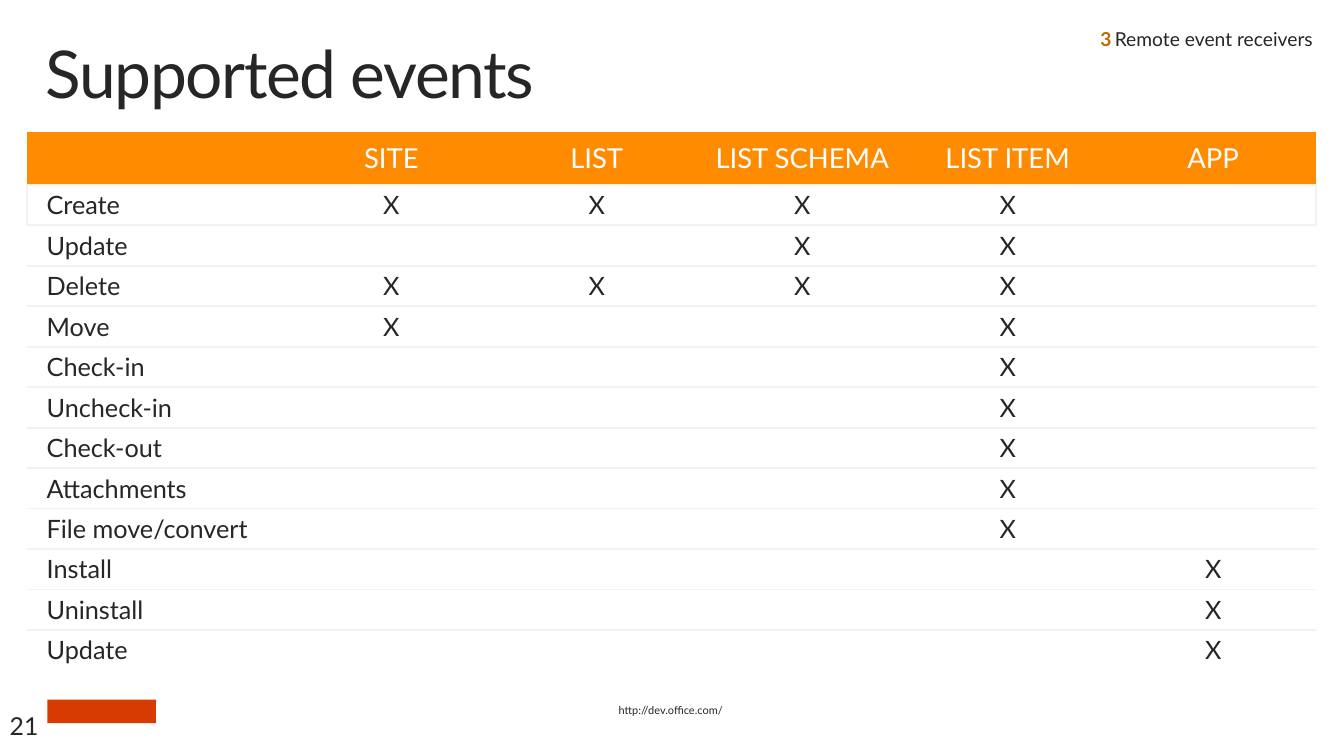
"""Build the slide listing the events that remote event receivers support."""
from dataclasses import dataclass

from lxml.etree import SubElement
from pptx import Presentation
from pptx.dml.color import RGBColor
from pptx.enum.shapes import MSO_SHAPE
from pptx.enum.text import MSO_ANCHOR, PP_ALIGN
from pptx.oxml.ns import qn
from pptx.util import Cm, Pt


@dataclass(frozen=True)
class Theme:
    font: str = "Lato"
    ink: RGBColor = RGBColor(0x26, 0x26, 0x26)
    white: RGBColor = RGBColor(0xFF, 0xFF, 0xFF)
    header: RGBColor = RGBColor(0xFF, 0x8C, 0x00)
    rule: RGBColor = RGBColor(0xF2, 0xF2, 0xF2)
    chapter: RGBColor = RGBColor(0xBF, 0x69, 0x00)
    mark: RGBColor = RGBColor(0xD8, 0x3B, 0x01)
    title_size: float = 48
    header_size: float = 20
    body_size: float = 18.4
    number_size: float = 18
    chapter_size: float = 14
    address_size: float = 8


theme = Theme()


def write(paragraph, text, size, color):
    paragraph.text = text
    paragraph.font.name = theme.font
    paragraph.font.size = Pt(size)
    paragraph.font.color.rgb = color


def set_borders(cell, ruled_sides):
    properties = cell._tc.get_or_add_tcPr()
    for side in "LRTB":
        line = SubElement(properties, qn(f"a:ln{side}"), w=str(Pt(1.5)))
        if side in ruled_sides:
            fill = SubElement(line, qn("a:solidFill"))
            SubElement(fill, qn("a:srgbClr"), val=str(theme.rule))
        else:
            SubElement(line, qn("a:noFill"))


presentation = Presentation()
presentation.slide_width = Cm(34.54)
presentation.slide_height = Cm(19.43)
slide = presentation.slides.add_slide(presentation.slide_layouts[6])

texts = [
    ("Supported events", 0.76, 0.81, 33.02, 2.54, 0.41, 0.25, 0.9, theme.title_size, theme.ink, False),
    ("Remote event receivers", 28.24, 0.51, 6.1, 0.79, 0.41, 0.25, 0.9, theme.chapter_size, theme.ink, False),
    ("3", 28.2, 0.51, 0.6, 0.79, 0.08, 0.25, 0.9, theme.chapter_size, theme.chapter, True),
    ("http://dev.office.com/", 15.49, 17.98, 3.56, 0.81, 0.41, 0.25, 0.9, theme.address_size, theme.ink, False),
    ("21", 0, 18.14, 1.57, 0.61, 0.25, 0.13, 1, theme.number_size, theme.ink, False),
]
for text, left, top, width, height, side_inset, top_inset, spacing, size, color, bold in texts:
    text_box = slide.shapes.add_textbox(Cm(left), Cm(top), Cm(width), Cm(height))
    frame = text_box.text_frame
    frame.word_wrap = True
    frame.margin_left = frame.margin_right = Cm(side_inset)
    frame.margin_top = frame.margin_bottom = Cm(top_inset)
    paragraph = frame.paragraphs[0]
    write(paragraph, text, size, color)
    paragraph.line_spacing = spacing
    paragraph.font.bold = bold
    if size == theme.title_size:
        paragraph.runs[0]._r.get_or_add_rPr().set("spc", "-100")

footer_mark = slide.shapes.add_shape(MSO_SHAPE.RECTANGLE, Cm(1.22), Cm(17.98), Cm(2.79), Cm(0.61))
footer_mark.shadow.inherit = False
footer_mark.fill.solid()
footer_mark.fill.fore_color.rgb = theme.mark
footer_mark.line.fill.background()

scopes = ["", "SITE", "LIST", "LIST SCHEMA", "LIST ITEM", "APP"]
events = [
    ("Create", {"SITE", "LIST", "LIST SCHEMA", "LIST ITEM"}),
    ("Update", {"LIST SCHEMA", "LIST ITEM"}),
    ("Delete", {"SITE", "LIST", "LIST SCHEMA", "LIST ITEM"}),
    ("Move", {"SITE", "LIST ITEM"}),
    ("Check-in", {"LIST ITEM"}),
    ("Uncheck-in", {"LIST ITEM"}),
    ("Check-out", {"LIST ITEM"}),
    ("Attachments", {"LIST ITEM"}),
    ("File move/convert", {"LIST ITEM"}),
    ("Install", {"APP"}),
    ("Uninstall", {"APP"}),
    ("Update", {"APP"}),
]
rows = [scopes]
for event, supported in events:
    rows.append([event] + ["X" if scope in supported else "" for scope in scopes[1:]])

last_row, last_column = len(rows) - 1, len(scopes) - 1
table = slide.shapes.add_table(
    len(rows), len(scopes), Cm(0.69), Cm(3.38), Cm(33.1), Cm(13.85)
).table
for column_index, column in enumerate(table.columns):
    column.width = Cm(5.28 if column_index else 6.73)

for row_index, values in enumerate(rows):
    is_header = row_index == 0
    table.rows[row_index].height = Cm(1.37 if is_header else 1.04)
    for column_index, value in enumerate(values):
        cell = table.cell(row_index, column_index)
        sides = "" if is_header else "T"
        if row_index < last_row:
            sides += "B"
        if row_index == 1 and column_index == 0:
            sides += "L"
        if row_index == 1 and column_index == last_column:
            sides += "R"
        set_borders(cell, sides)
        cell.fill.solid()
        cell.fill.fore_color.rgb = theme.header if is_header else theme.white
        cell.vertical_anchor = MSO_ANCHOR.MIDDLE
        cell.margin_left = Cm(0.25 if is_header or column_index else 0.51)
        cell.margin_top = cell.margin_bottom = Cm(0.25 if is_header else 0.13)
        paragraph = cell.text_frame.paragraphs[0]
        write(
            paragraph,
            value,
            theme.header_size if is_header else theme.body_size,
            theme.white if is_header else theme.ink,
        )
        paragraph.alignment = PP_ALIGN.CENTER if is_header or column_index else PP_ALIGN.LEFT

presentation.save("out.pptx")
